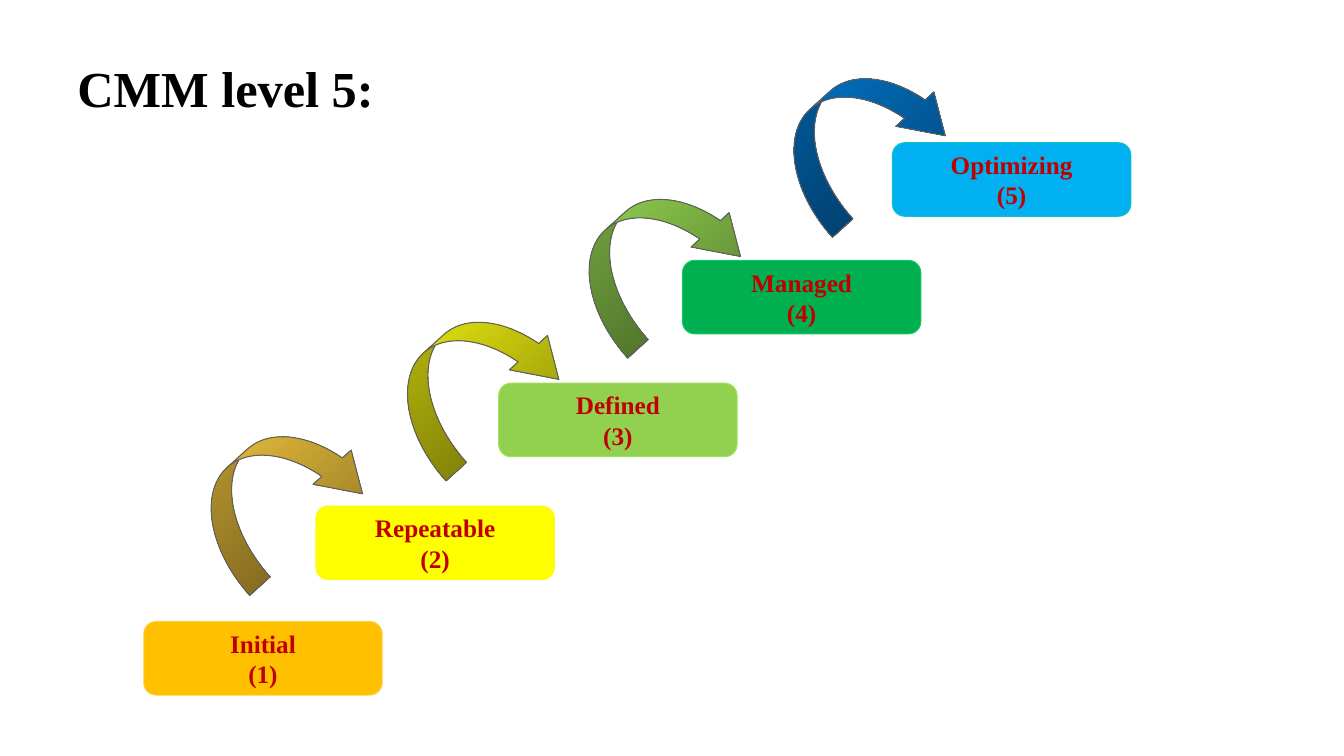
from pptx import Presentation
from pptx.dml.color import RGBColor
from pptx.enum.shapes import MSO_SHAPE
from pptx.enum.text import MSO_ANCHOR, PP_ALIGN
from pptx.util import Pt

BOX = MSO_SHAPE.ROUNDED_RECTANGLE
ARROW = MSO_SHAPE.CURVED_DOWN_ARROW
MIDDLE = MSO_ANCHOR.MIDDLE
LEFT, CENTER = PP_ALIGN.LEFT, PP_ALIGN.CENTER

TITLE = "CMM level 5:"
# name, left and top in px, fill, outline
LEVELS = [
    ("Initial", 137, 592, "amber", "amber light"),
    ("Repeatable", 301, 482, "yellow", "yellow light"),
    ("Defined", 475, 365, "lime", "lime light"),
    ("Managed", 650, 248, "green", "green light"),
    ("Optimizing", 850, 136, "sky", "sky light"),
]
# left and top in px, gradient start and end
STEPS = [
    (181, 419, "amber light", "amber dark"),
    (368, 310, "yellow light", "yellow dark"),
    (541, 193, "lime light", "lime dark"),
    (736, 78, "blue light", "blue dark"),
]
COLORS = {
    "title": "000000", "label": "C00000", "arrow line": "5F5F5F",
    "amber": "FFC000", "amber light": "FECF40", "amber dark": "846C21",
    "yellow": "FFFF00", "yellow light": "FBFB11", "yellow dark": "838309",
    "lime": "92D050", "lime light": "9EE256", "lime dark": "52762D",
    "green": "00B050", "green light": "15C866",
    "sky": "00B0F0", "sky light": "10BEC8",
    "blue light": "007BD3", "blue dark": "034373",
}
FONT = "Times New Roman"
PX = 9525
SLIDE_SIZE = (1280, 720)
TITLE_AREA = (64, 53, 1152, 61)
BOX_SIZE = (227, 70)
ARROW_SIZE = (169, 105)
ARROW_TURN = 318
ARROW_ADJUSTMENTS = (0.25, 0.465, 0.364)


def color(name):
    return RGBColor.from_string(COLORS[name])


def px(*lengths):
    return [length * PX for length in lengths]


def format_text(frame, size, color_name, align):
    frame.vertical_anchor = MIDDLE
    for paragraph in frame.paragraphs:
        paragraph.alignment = align
        font = paragraph.font
        font.name, font.size, font.bold = FONT, Pt(size), True
        font.color.rgb = color(color_name)


def add_outlined(slide, kind, left, top, size, line):
    shape = slide.shapes.add_shape(kind, *px(left, top, *size))
    shape.shadow.inherit = False
    shape.line.color.rgb = color(line)
    shape.line.width = Pt(0.75)
    return shape


def add_level(slide, number, name, left, top, fill, line):
    box = add_outlined(slide, BOX, left, top, BOX_SIZE, line)
    box.fill.solid()
    box.fill.fore_color.rgb = color(fill)
    frame = box.text_frame
    frame.text = f"{name}\n({number})"
    frame.word_wrap = False
    format_text(frame, 18, "label", CENTER)


def add_step(slide, left, top, start, end):
    arrow = add_outlined(slide, ARROW, left, top, ARROW_SIZE, "arrow line")
    arrow.rotation = ARROW_TURN
    for index, value in enumerate(ARROW_ADJUSTMENTS):
        arrow.adjustments[index] = value
    arrow.fill.gradient()
    arrow.fill.gradient_angle = 270
    for stop, name in zip(arrow.fill.gradient_stops, (start, end)):
        stop.color.rgb = color(name)


def main():
    deck = Presentation()
    deck.slide_width, deck.slide_height = px(*SLIDE_SIZE)
    slide = deck.slides.add_slide(deck.slide_layouts.get_by_name("Title Only"))

    title = slide.shapes.title
    title.left, title.top, title.width, title.height = px(*TITLE_AREA)
    title.text_frame.text = TITLE
    format_text(title.text_frame, 36, "title", LEFT)

    for number, level in enumerate(LEVELS, start=1):
        add_level(slide, number, *level)
    for step in STEPS:
        add_step(slide, *step)

    deck.save("out.pptx")


if __name__ == "__main__":
    main()
